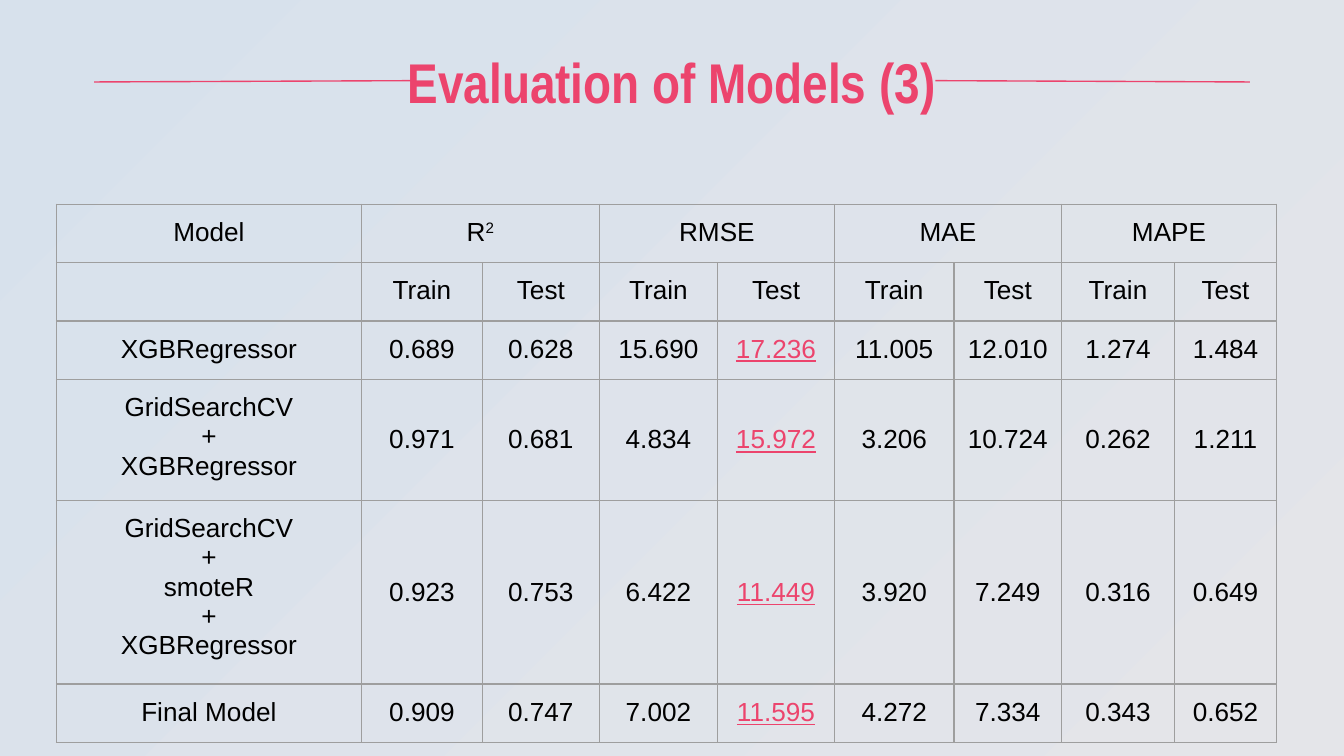
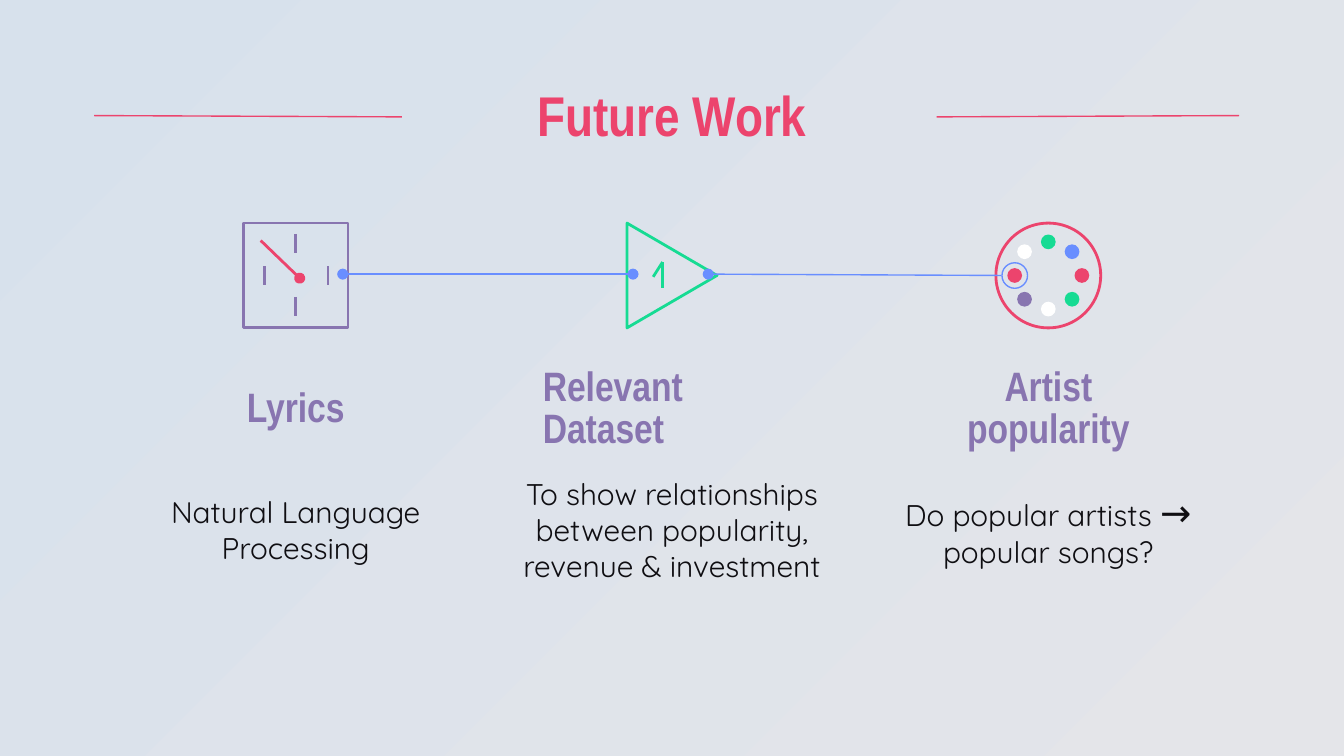
import math

from lxml import etree
from pptx import Presentation
from pptx import util as u
from pptx.dml.color import RGBColor
from pptx.enum import shapes as kinds, text
from pptx.oxml import ns

Inches = u.Inches

COLOURS = {
    "pink": "EC446D", "purple": "8875B0", "green": "16DB93", "blue": "698EFF",
    "white": "FFFFFF", "black": "000000", "ink": "0F0E12", "grid": "9E9E9E",
    "ground_start": "E4E5E9", "ground_end": "D7E1EC",
}
TITLE_FONT, BODY_FONT, TABLE_FONT = "Arial Narrow", "Quicksand", "Arial"

# Title text, top, and the two rules beside it
EVALUATION_TITLE = ("Evaluation of Models (3)", 0.34,
                    [((3.08, 0.6), (0.7, 0.61)), ((9.3, 0.61), (6.96, 0.6))])
FUTURE_TITLE = ("Future Work", 0.59,
                [((2.99, 0.87), (0.7, 0.86)), ((9.22, 0.86), (6.97, 0.87))])

METRICS = ["R", "RMSE", "MAE", "MAPE"]
RESULTS = [
    ("XGBRegressor", "0.689", "0.628", "15.690", "17.236", "11.005", "12.010", "1.274", "1.484"),
    ("GridSearchCV\n+\nXGBRegressor",
     "0.971", "0.681", "4.834", "15.972", "3.206", "10.724", "0.262", "1.211"),
    ("GridSearchCV\n+\nsmoteR\n+\nXGBRegressor",
     "0.923", "0.753", "6.422", "11.449", "3.920", "7.249", "0.316", "0.649"),
    ("Final Model", "0.909", "0.747", "7.002", "11.595", "4.272", "7.334", "0.343", "0.652"),
]
TABLE_BOX = (0.42, 1.52, 9.07, 4)
COLUMN_WIDTHS = [2.27, 0.9, 0.87, 0.88, 0.87, 0.89, 0.8, 0.84, 0.76]
ROW_HEIGHTS = [0.41, 0.41, 0.41, 0.84, 1.28, 0.34]
HIGHLIGHT_COLUMN = 4

# Heading, heading width, heading alignment, body runs with sizes
IDEAS = [
    ("Lyrics", 1.62, text.PP_ALIGN.CENTER, [("Natural Language Processing", 16)]),
    ("Relevant Dataset", 2.12, text.PP_ALIGN.LEFT,
     [("To show relationships between popularity, revenue & investment", 16)]),
    ("Artist popularity", 1.62, text.PP_ALIGN.CENTER,
     [("Do popular artists ", 16), ("→ ", 20), ("popular songs?", 16)]),
]
IDEA_CENTRES = [2.2, 5.0, 7.8]
ICON_Y, ICON_SIZE = 2.05, 0.78
PALETTE_DOTS = ["green", "blue", "pink", "green", "white", "purple", "pink", "white"]
DOT_SIZE, DOT_ORBIT = 0.11, 0.25


def colour(name):
    return RGBColor.from_string(COLOURS[name])


def style_font(font, name, size, colour_name, bold=False):
    font.name, font.size, font.bold = name, u.Pt(size), bold
    font.color.rgb = colour(colour_name)


def add_slide(presentation, title, top, rules):
    """Add a slide with the shared background, title and title rules."""
    slide = presentation.slides.add_slide(presentation.slide_layouts[6])
    fill = slide.background.fill
    fill.gradient()
    fill.gradient_angle = 135
    for stop, name, position in zip(fill.gradient_stops, ("ground_start", "ground_end"), (0, 1)):
        stop.color.rgb = colour(name)
        stop.position = position
    add_text(slide, (0.78, top, 8.44, 0.52), [(title, 30)], TITLE_FONT, "pink", bold=True)
    for start, end in rules:
        add_line(slide.shapes, start, end, "pink")
    return slide


def add_text(slide, box, runs, font, colour_name, bold=False,
             align=text.PP_ALIGN.CENTER, top_inset=0.1, bottom_inset=0.1):
    """Add one paragraph, anchored in the middle, made of (text, size) runs."""
    frame = slide.shapes.add_textbox(*map(Inches, box)).text_frame
    frame.word_wrap = True
    frame.vertical_anchor = text.MSO_ANCHOR.MIDDLE
    frame.margin_left = frame.margin_right = Inches(0.1)
    frame.margin_top, frame.margin_bottom = Inches(top_inset), Inches(bottom_inset)
    paragraph = frame.paragraphs[0]
    paragraph.alignment = align
    for words, size in runs:
        run = paragraph.add_run()
        run.text = words
        style_font(run.font, font, size, colour_name, bold)
    return paragraph


def add_line(shapes, start, end, colour_name, width=0.75, ovals=()):
    """Add a straight line; ovals may hold "headEnd" and "tailEnd", in that order."""
    line = shapes.add_connector(kinds.MSO_CONNECTOR.STRAIGHT, *map(Inches, start + end))
    line.line.color.rgb = colour(colour_name)
    line.line.width = u.Pt(width)
    for tag in ovals:
        etree.SubElement(line.line._ln, ns.qn("a:" + tag), type="oval")
    etree.SubElement(line._element.spPr, ns.qn("a:effectLst"))


def add_centred(shapes, kind, centre, width, height, fill=None, outline=None, weight=1.5):
    x, y = centre
    shape = shapes.add_shape(kind, Inches(x - width / 2), Inches(y - height / 2),
                             Inches(width), Inches(height))
    shape.shadow.inherit = False
    if fill:
        shape.fill.solid()
        shape.fill.fore_color.rgb = colour(fill)
    else:
        shape.fill.background()
    if outline:
        shape.line.color.rgb = colour(outline)
        shape.line.width = u.Pt(weight)
    else:
        shape.line.fill.background()
    return shape


def format_cell(cell, colour_name, underline):
    cell.margin_left = cell.margin_right = cell.margin_top = cell.margin_bottom = Inches(0.1)
    cell.fill.background()
    properties = cell._tc.get_or_add_tcPr()
    for index, side in enumerate(("lnL", "lnR", "lnT", "lnB")):
        border = etree.Element(ns.qn("a:" + side), w=str(u.Pt(0.75)))
        fill = etree.SubElement(border, ns.qn("a:solidFill"))
        etree.SubElement(fill, ns.qn("a:srgbClr"), val=COLOURS["grid"])
        properties.insert(index, border)
    for paragraph in cell.text_frame.paragraphs:
        paragraph.alignment = text.PP_ALIGN.CENTER
        for run in paragraph.runs:
            style_font(run.font, TABLE_FONT, 14, colour_name)
            run.font.underline = underline
        if not paragraph.runs:
            etree.SubElement(paragraph._p, ns.qn("a:endParaRPr"), sz="1400")


def add_results_table(slide):
    metric_row = ["Model"] + [label for metric in METRICS for label in (metric, "")]
    split_row = [""] + ["Train", "Test"] * len(METRICS)
    rows = [metric_row, split_row, *RESULTS]
    frame = slide.shapes.add_table(len(rows), len(COLUMN_WIDTHS), *map(Inches, TABLE_BOX))
    table = frame.table
    table.first_row = table.horz_banding = False
    for column, width in zip(table.columns, COLUMN_WIDTHS):
        column.width = Inches(width)
    for row, height in zip(table.rows, ROW_HEIGHTS):
        row.height = Inches(height)
    frame.width, frame.height = map(Inches, TABLE_BOX[2:])
    for column in range(1, len(COLUMN_WIDTHS), 2):
        table.cell(0, column).merge(table.cell(0, column + 1))
    for r, values in enumerate(rows):
        for c, value in enumerate(values):
            cell = table.cell(r, c)
            cell.text = value
            if value == "R":
                exponent = cell.text_frame.paragraphs[0].add_run()
                exponent.text = "2"
                exponent._r.get_or_add_rPr().set("baseline", "30000")
            if c > 0 and "\n" in values[0]:
                cell.vertical_anchor = text.MSO_ANCHOR.MIDDLE
            highlighted = r > 1 and c == HIGHLIGHT_COLUMN
            format_cell(cell, "pink" if highlighted else "black", highlighted)


def add_dial_icon(slide, x, y):
    shapes = slide.shapes.add_group_shape().shapes
    add_centred(shapes, kinds.MSO_SHAPE.RECTANGLE, (x, y), ICON_SIZE, ICON_SIZE, outline="purple")
    add_line(shapes, (x + 0.03, y + 0.02), (x - 0.26, y - 0.26), "pink", 1.5, ["headEnd"])
    for dx, dy in [(0, -0.24), (0.24, 0), (-0.23, 0), (0, 0.23)]:
        add_line(shapes, (x + dx, y + dy - 0.07), (x + dx, y + dy + 0.07), "purple", 1.5)


def add_triangle_icon(slide, x, y):
    shapes = slide.shapes.add_group_shape().shapes
    triangle = add_centred(shapes, kinds.MSO_SHAPE.ISOSCELES_TRIANGLE, (x, y),
                           ICON_SIZE, 0.67, outline="green")
    triangle.rotation = 90
    tip = (x - 0.07, y - 0.1)
    for end in [(x - 0.07, y + 0.09), (x - 0.14, y + 0.01)]:
        add_line(shapes, tip, end, "green", 1.5)


def add_palette_icon(slide, x, y):
    shapes = slide.shapes.add_group_shape().shapes
    add_centred(shapes, kinds.MSO_SHAPE.OVAL, (x, y), ICON_SIZE, ICON_SIZE, outline="pink")
    for index, name in enumerate(PALETTE_DOTS):
        angle = index * math.tau / len(PALETTE_DOTS)
        centre = (x + DOT_ORBIT * math.sin(angle), y - DOT_ORBIT * math.cos(angle))
        add_centred(shapes, kinds.MSO_SHAPE.OVAL, centre, DOT_SIZE, DOT_SIZE, fill=name)


def add_ideas(slide):
    icons = [add_dial_icon, add_triangle_icon, add_palette_icon]
    for add_icon, x, (heading, width, align, body) in zip(icons, IDEA_CENTRES, IDEAS):
        add_icon(slide, x, ICON_Y)
        paragraph = add_text(slide, (x - width / 2, 2.9, width, 0.3), [(heading, 22)],
                             TITLE_FONT, "purple", bold=True, align=align)
        paragraph.line_spacing = 0.85
        paragraph = add_text(slide, (x - 1.22, 3.3, 2.44, 1.08), body, BODY_FONT, "ink",
                             top_inset=0.2, bottom_inset=0)
        paragraph.space_after = u.Pt(16)

    add_line(slide.shapes, (2.55, 2.04), (4.71, 2.04), "blue", ovals=["headEnd", "tailEnd"])
    link = slide.shapes.add_group_shape().shapes
    ring_centre = (IDEA_CENTRES[2] - DOT_ORBIT, ICON_Y)
    add_centred(link, kinds.MSO_SHAPE.OVAL, ring_centre, 0.19, 0.19, outline="blue", weight=0.75)
    add_line(link, (5.27, 2.04), (7.45, 2.05), "blue", ovals=["headEnd"])


def main():
    presentation = Presentation()
    presentation.slide_width = Inches(10)
    presentation.slide_height = Inches(10) * 9 // 16
    add_results_table(add_slide(presentation, *EVALUATION_TITLE))
    add_ideas(add_slide(presentation, *FUTURE_TITLE))
    presentation.save("out.pptx")


if __name__ == "__main__":
    main()
